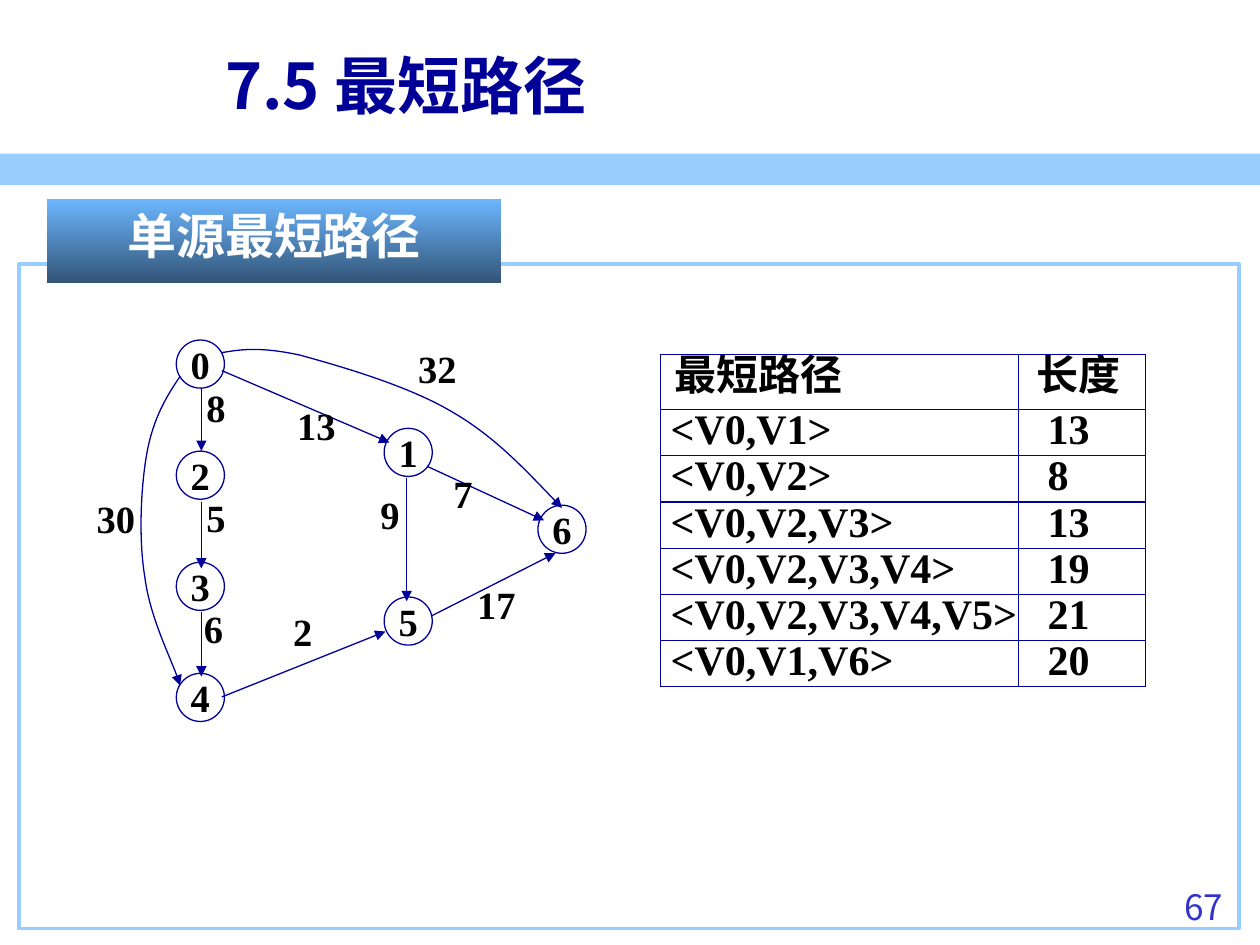
from dataclasses import dataclass

from lxml import etree
from pptx import Presentation
from pptx.dml.color import RGBColor
from pptx.enum.shapes import MSO_CONNECTOR, MSO_SHAPE
from pptx.enum.text import MSO_ANCHOR, PP_ALIGN
from pptx.oxml.ns import qn
from pptx.util import Cm, Pt

LEFT, CENTER, RIGHT = PP_ALIGN.LEFT, PP_ALIGN.CENTER, PP_ALIGN.RIGHT
TOP, MIDDLE = MSO_ANCHOR.TOP, MSO_ANCHOR.MIDDLE
RECTANGLE, OVAL = MSO_SHAPE.RECTANGLE, MSO_SHAPE.OVAL
STRAIGHT = MSO_CONNECTOR.STRAIGHT


@dataclass(frozen=True)
class Theme:
    navy: str = "000099"
    sky: str = "99CCFF"
    black: str = "000000"
    white: str = "FFFFFF"
    page_blue: str = "3333CC"
    banner_top: str = "6DB6FF"
    banner_bottom: str = "325476"
    serif: str = "Times New Roman"
    sans: str = "Noto Sans CJK SC"
    page_font: str = "Noto Sans CJK KR"
    title: int = 36
    heading: int = 28
    cell: int = 24
    graph: int = 22
    page: int = 20
    thin: float = 0.75
    frame: float = 2.25


THEME = Theme()
GRAPH_TEXT = {"size": THEME.graph, "color": THEME.black, "font": THEME.serif}

NODE_SIZE = 0.97
# Node centres, relative to the graph box
NODES = {str(n): (2.34, 0.54 + 2.24 * row) for row, n in enumerate((0, 2, 3, 4))}
NODES.update({"1": (6.53, 2.32), "5": (6.53, 5.72), "6": (9.63, 3.87)})

# Weight, label corner, then the ends of a line or the control points of a curve
EDGES = [
    ("8", (2.21, 0.82), [(2.36, 1.02), (2.36, 2.29)]),
    ("5", (2.21, 3.03), [(2.36, 3.31), (2.36, 4.66)]),
    ("6", (2.16, 5.27), [(2.36, 5.54), (2.36, 6.84)]),
    ("13", (4.04, 1.18), [(2.77, 0.67), (6.15, 2.12)]),
    ("7", (7.19, 2.55), [(6.91, 2.6), (9.27, 3.69)]),
    ("2", (3.96, 5.34), [(2.77, 7.25), (6.07, 5.93)]),
    ("17", (7.67, 4.78), [(6.99, 5.62), (9.5, 4.35)]),
    ("9", (5.72, 2.98), [(6.5, 2.83), (6.5, 5.32)]),
    ("30", (0, 3.06), [(1.93, 0.79), (1.65, 1.2), (1.4, 1.63), (1.27, 2.29),
                       (1.14, 2.98), (1.09, 4.05), (1.22, 4.83),
                       (1.32, 5.62), (1.83, 6.64), (1.93, 7.02)]),
    ("32", (6.48, 0.03), [(2.77, 0.31), (3.18, 0.24), (3.56, 0.19), (4.35, 0.36),
                          (5.11, 0.57), (6.45, 0.95), (7.34, 1.46),
                          (8.23, 1.96), (8.92, 2.7), (9.63, 3.44)]),
]

PATHS = [
    ("最短路径", "长度"),
    ("<V0,V1>", "13"),
    ("<V0,V2>", "8"),
    ("<V0,V2,V3>", "13"),
    ("<V0,V2,V3,V4>", "19"),
    ("<V0,V2,V3,V4,V5>", "21"),
    ("<V0,V1,V6>", "20"),
]


def set_attributes(target, formats):
    for name, value in formats.items():
        setattr(target, name, value)


def write(frame, text, size, color, font, bold=True, align=LEFT):
    paragraph = frame.paragraphs[0]
    paragraph.alignment = align
    run = paragraph.add_run()
    run.text = text
    set_attributes(run.font, {"size": Pt(size), "bold": bold, "name": font})
    run.font.color.rgb = RGBColor.from_string(color)
    east_asian = THEME.sans if font == THEME.serif else font
    etree.SubElement(run.font._element, qn("a:ea"), typeface=east_asian)


def add_text(slide, box, text, anchor=TOP, wrap=True, **style):
    frame = slide.shapes.add_textbox(*map(Cm, box)).text_frame
    set_attributes(frame, {"word_wrap": wrap, "vertical_anchor": anchor})
    write(frame, text, **style)


def set_line(line, color, width):
    line.color.rgb = RGBColor.from_string(color)
    line.width = Pt(width)


def add_shape(slide, kind, box, fill=None, line=None, width=THEME.thin):
    shape = slide.shapes.add_shape(kind, *map(Cm, box))
    shape.shadow.inherit = False
    if fill:
        shape.fill.solid()
        shape.fill.fore_color.rgb = RGBColor.from_string(fill)
    else:
        shape.fill.background()
    if line:
        set_line(shape.line, line, width)
    else:
        shape.line.fill.background()
    return shape


def add_curve(slide, points):
    """Draw a chain of cubic curves through every third point."""
    start, *controls = [(Cm(x), Cm(y)) for x, y in points]
    builder = slide.shapes.build_freeform(*start)
    builder.add_line_segments(controls, close=False)
    curve = builder.convert_to_shape()
    curve.shadow.inherit = False
    curve.fill.background()
    outline = curve._element.find(".//" + qn("a:path"))
    segments = outline.findall(qn("a:lnTo"))
    for first in range(0, len(segments), 3):
        cubic = etree.SubElement(outline, qn("a:cubicBezTo"))
        for segment in segments[first:first + 3]:
            cubic.append(segment[0])
            outline.remove(segment)
    return curve


def add_straight(slide, points):
    (x1, y1), (x2, y2) = points
    edge = slide.shapes.add_connector(STRAIGHT, Cm(x1), Cm(y1), Cm(x2), Cm(y2))
    etree.SubElement(edge._element.spPr, qn("a:effectLst"))
    return edge


def add_header(slide, left, top, width):
    add_shape(slide, RECTANGLE, (left, top + 3.1, width, 0.63), fill=THEME.sky)
    add_text(slide, (left + 4.29, top + 0.53, 20.8, 2.34), "7.5 最短路径", anchor=MIDDLE,
             size=THEME.title, color=THEME.navy, font=THEME.sans)


def add_panel(slide, left, top, width, height):
    add_shape(slide, RECTANGLE, (left, top, width, height),
              line=THEME.sky, width=THEME.frame)
    # Section banner overlapping the frame
    banner = add_shape(slide, RECTANGLE, (left + 0.56, top - 1.32, 9.17, 1.7))
    banner.fill.gradient()
    banner.fill.gradient_angle = 270
    for stop, color in zip(banner.fill.gradient_stops,
                           (THEME.banner_top, THEME.banner_bottom)):
        stop.color.rgb = RGBColor.from_string(color)
    banner.text_frame.vertical_anchor = TOP
    write(banner.text_frame, "单源最短路径", THEME.heading, THEME.white,
          THEME.sans, align=CENTER)
    # Page number
    add_text(slide, (left + 22.12, top + 12.4, 2.41, 1.32), "67", size=THEME.page,
             color=THEME.page_blue, font=THEME.page_font, bold=False, align=RIGHT)


def add_graph(slide, left, top):
    for name, (x, y) in NODES.items():
        box = (left + x - NODE_SIZE / 2, top + y - NODE_SIZE / 2, NODE_SIZE, NODE_SIZE)
        node = add_shape(slide, OVAL, box, line=THEME.navy)
        set_attributes(node.text_frame, {"word_wrap": False, "vertical_anchor": MIDDLE})
        write(node.text_frame, name, align=CENTER, **GRAPH_TEXT)
    for weight, (x, y), points in EDGES:
        placed = [(left + px, top + py) for px, py in points]
        draw = add_straight if len(points) == 2 else add_curve
        edge = draw(slide, placed)
        set_line(edge.line, THEME.navy, THEME.thin)
        etree.SubElement(edge.line._get_or_add_ln(), qn("a:tailEnd"), type="triangle")
        label_box = (left + x, top + y, 0.48 + 0.41 * len(weight), 1.19)
        add_text(slide, label_box, weight, wrap=False, **GRAPH_TEXT)


def add_borders(cell):
    properties = cell._tc.get_or_add_tcPr()
    for index, side in enumerate(("lnL", "lnR", "lnT", "lnB")):
        border = etree.Element(qn("a:" + side), w=str(Pt(THEME.thin)))
        fill = etree.SubElement(border, qn("a:solidFill"))
        etree.SubElement(fill, qn("a:srgbClr"), val=THEME.navy)
        properties.insert(index, border)


def add_path_table(slide, left, top, widths=(7.22, 2.56), header=1.12, row_height=0.93):
    heights = [header] + [row_height] * (len(PATHS) - 1)
    table = slide.shapes.add_table(len(PATHS), len(widths), Cm(left), Cm(top),
                                   Cm(sum(widths)), Cm(sum(heights))).table
    set_attributes(table, {"first_row": False, "horz_banding": False})
    for column, width in zip(table.columns, widths):
        column.width = Cm(width)
    for row, height, texts in zip(table.rows, heights, PATHS):
        row.height = Cm(height)
        insets = (0.28, 0.36) if texts is PATHS[0] else (0.2, 0.58)
        for cell, text, inset in zip(row.cells, texts, insets):
            set_attributes(cell, {"margin_left": Cm(inset), "margin_right": 0,
                                  "margin_top": 0, "margin_bottom": 0,
                                  "vertical_anchor": MIDDLE})
            cell.fill.background()
            add_borders(cell)
            cell.text_frame.paragraphs[0].line_spacing = Pt(THEME.cell)
            write(cell.text_frame, text, THEME.cell, THEME.black, THEME.serif)


def main():
    deck = Presentation()
    set_attributes(deck, {"slide_width": Cm(25.4), "slide_height": Cm(19.05)})
    slide = deck.slides.add_slide(deck.slide_layouts[6])
    add_header(slide, 0, 0, 25.4)
    add_panel(slide, 0.38, 5.33, 24.59, 13.39)
    add_graph(slide, 1.7, 6.8)
    add_path_table(slide, 13.32, 7.14)
    deck.save("out.pptx")


if __name__ == "__main__":
    main()
